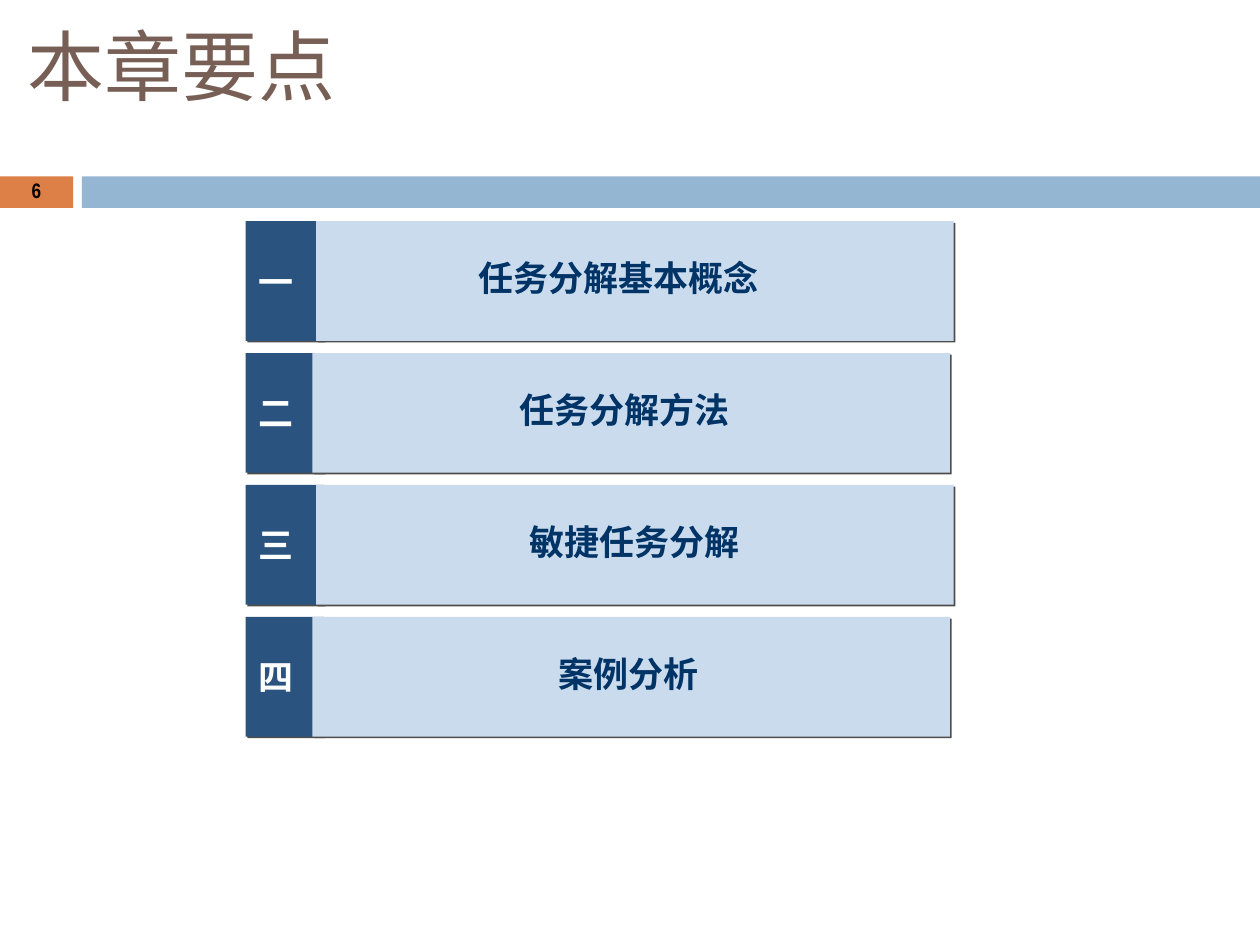
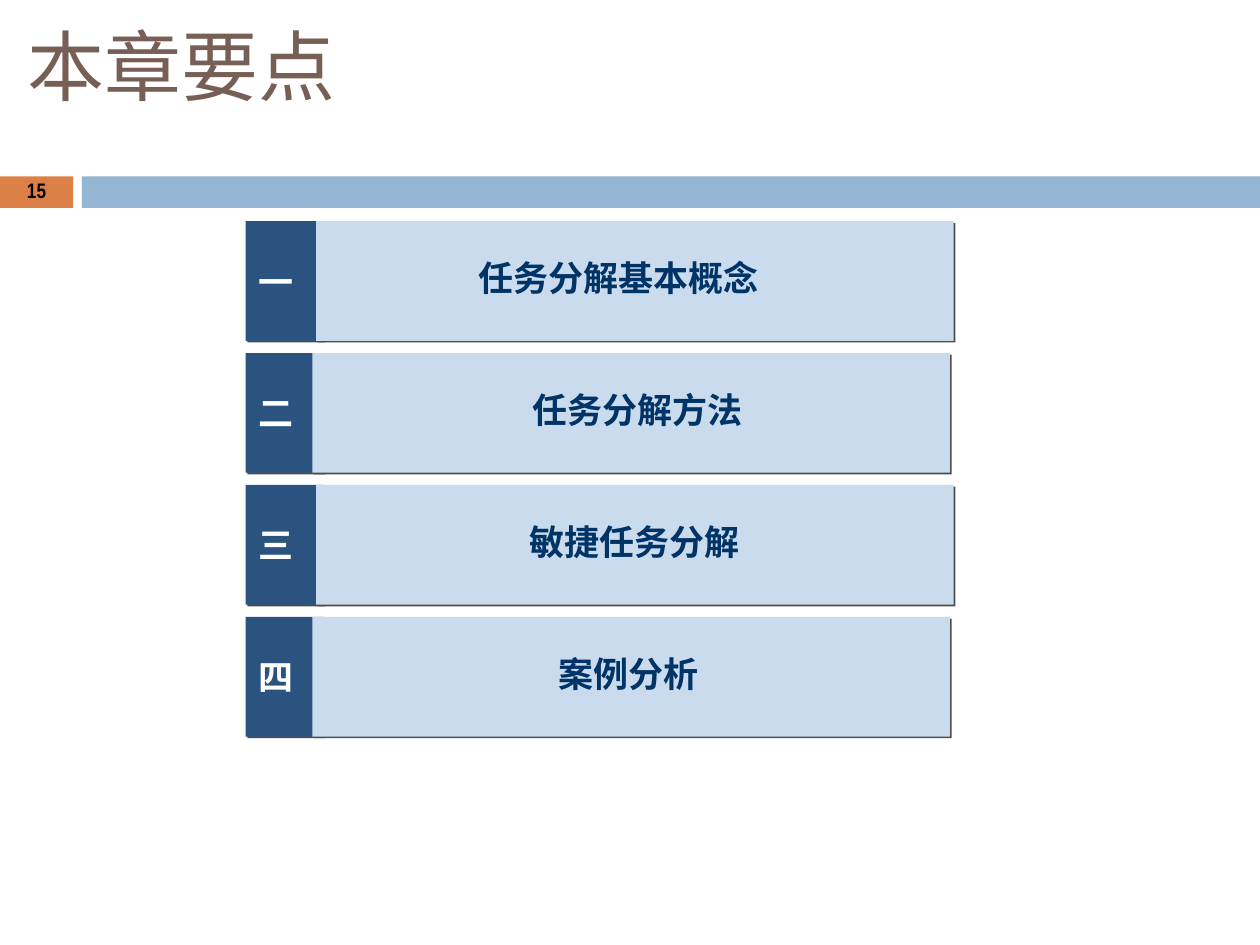
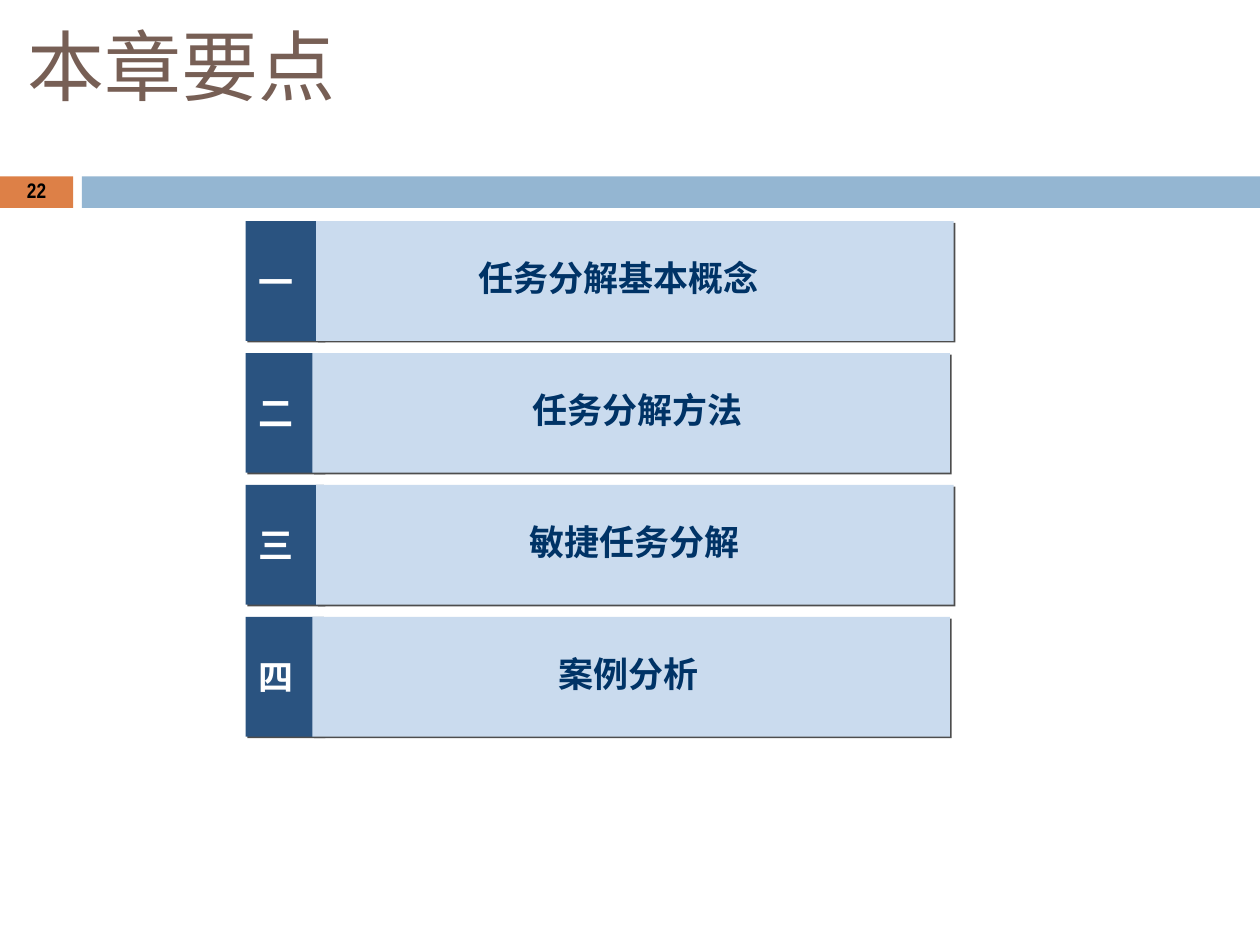
from lxml.etree import SubElement
from pptx import Presentation
from pptx.dml.color import RGBColor
from pptx.enum.shapes import MSO_SHAPE
from pptx.enum.text import MSO_ANCHOR, MSO_AUTO_SIZE, PP_ALIGN
from pptx.oxml.ns import qn
from pptx.util import Inches, Pt

COLORS = {
    "title": "775F55", "page_band": "DD8047", "wide_band": "94B6D2", "page": "000000",
    "number_fill": "2A5380", "number": "FFFFFF", "panel": "CADBEE", "label": "003366",
    "shadow": "4D4D4D",
}
CJK = "Noto Sans CJK SC"
FONTS = {
    "title": {"name": CJK, "size": Pt(44), "bold": False},
    "page": {"name": "Arial Narrow", "size": Pt(12), "bold": True},
    "number": {"name": CJK, "size": Pt(20), "bold": True},
    "label": {"name": CJK, "size": Pt(20), "bold": True},
}
PARAGRAPHS = {
    "title": {"alignment": PP_ALIGN.LEFT, "line_spacing": 0.9},
    "page": {"alignment": PP_ALIGN.CENTER, "line_spacing": 0.8},
    "number": {"alignment": PP_ALIGN.LEFT},
    "label": {"alignment": PP_ALIGN.CENTER},
}
FRAME = {
    "word_wrap": True, "auto_size": MSO_AUTO_SIZE.NONE, "vertical_anchor": MSO_ANCHOR.MIDDLE,
    "margin_left": Inches(0.1), "margin_right": Inches(0.1),
    "margin_top": Inches(0.05), "margin_bottom": Inches(0.05),
}
GRID_COLUMNS, GRID_ROWS = 100, 75
FIRST_ROW, FIRST_LABEL_ROW, ROW_PITCH = 17.55, 18.63, 10.47
PANEL_LEFTS = (25.1, 24.8)
TOPICS = [
    ("一", "任务分解基本概念", 25.1, 48, 0.1),
    ("二", "任务分解方法", 26.6, 48, 0.1),
    ("三", "敏捷任务分解", 26.7, 47.3, 0.1),
    ("四", "案例分析", 28.6, 44.1, 0.25),
]
PAGES = [("6", {"任务分解方法": 25.6}), ("15", {}), ("22", {})]


def assign(target, values):
    """Set each named attribute of the target."""
    for name, value in values.items():
        setattr(target, name, value)


class Deck:
    """Hold the deck's style and the slide being built."""

    def __init__(self):
        """Start an empty presentation of 10 by 7.5 inches."""
        self.presentation = Presentation()
        assign(self.presentation, {"slide_width": Inches(10), "slide_height": Inches(7.5)})
        self.slide = None

    def place(self, left, top, width, height):
        """Turn grid columns and rows into slide lengths."""
        column = self.presentation.slide_width / GRID_COLUMNS
        row = self.presentation.slide_height / GRID_ROWS
        return [round(n * unit) for n, unit in zip((left, top, width, height), (column, row) * 2)]

    def caption(self, shape, text, style, **frame_changes):
        """Put one styled paragraph in a shape."""
        frame = shape.text_frame
        assign(frame, FRAME | frame_changes)
        frame.text = text
        paragraph = frame.paragraphs[0]
        assign(paragraph, PARAGRAPHS[style])
        run = paragraph.runs[0]
        assign(run.font, FONTS[style])
        run.font.color.rgb = RGBColor.from_string(COLORS[style])
        SubElement(run.font._element, qn("a:ea"), typeface=FONTS[style]["name"])

    def title(self, text, *spot):
        """Move and fill the title placeholder."""
        heading = self.slide.shapes.title
        assign(heading, dict(zip(("left", "top", "width", "height"), self.place(*spot))))
        self.caption(heading, text, "title", vertical_anchor=MSO_ANCHOR.TOP)

    def block(self, *spot, fill=None, kind=MSO_SHAPE.RECTANGLE):
        """Add an outline-free shape."""
        shape = self.slide.shapes.add_shape(kind, *self.place(*spot))
        shape.shadow.inherit = False
        shape.line.fill.background()
        if fill:
            shape.fill.solid()
            shape.fill.fore_color.rgb = RGBColor.from_string(COLORS[fill])
        else:
            shape.fill.background()
        return shape

    def raised_block(self, *spot, fill):
        """Add a block with a hard shadow to the lower right."""
        shape = self.block(*spot, fill=fill)
        effects = shape._element.spPr.find(qn("a:effectLst"))
        shadow = SubElement(effects, qn("a:outerShdw"), blurRad="0", dist=str(Pt(1.4)),
                            dir="2700000", algn="ctr", rotWithShape="0")
        SubElement(shadow, qn("a:srgbClr"), val=COLORS["shadow"])
        return shape

    def page_number(self, text, *spot):
        """Add the page number over its band."""
        self.caption(self.slide.shapes.add_textbox(*self.place(*spot)), text, "page")

    def topic(self, index, number, label, left, width, right_margin):
        """Add one numbered row of the chapter list."""
        top = FIRST_ROW + index * ROW_PITCH
        number_box = self.raised_block(19.5, top, 6.2, 9.5, fill="number_fill")
        self.caption(number_box, number, "number")
        self.raised_block(PANEL_LEFTS[index % 2], top, 50.6, 9.5, fill="panel")
        label_box = self.block(left, FIRST_LABEL_ROW + index * ROW_PITCH, width, 6.8,
                               kind=MSO_SHAPE.ROUNDED_RECTANGLE)
        self.caption(label_box, label, "label", margin_right=Inches(right_margin))

    def chapter_slide(self, page, label_lefts):
        """Add a slide with the chapter's list of topics."""
        self.slide = self.presentation.slides.add_slide(self.presentation.slide_layouts[5])
        self.block(0, 14, 5.8, 2.5, fill="page_band")
        self.block(6.5, 14, 93.5, 2.5, fill="wide_band")
        self.title("本章要点", 1.2, 1.8, 85, 12.5)
        self.page_number(page, 0, 13.9, 5.8, 2.7)
        for index, (number, label, left, width, right_margin) in enumerate(TOPICS):
            self.topic(index, number, label, label_lefts.get(label, left), width, right_margin)


def main():
    """Build the three chapter slides."""
    deck = Deck()
    for page, label_lefts in PAGES:
        deck.chapter_slide(page, label_lefts)
    deck.presentation.save("out.pptx")


if __name__ == "__main__":
    main()
